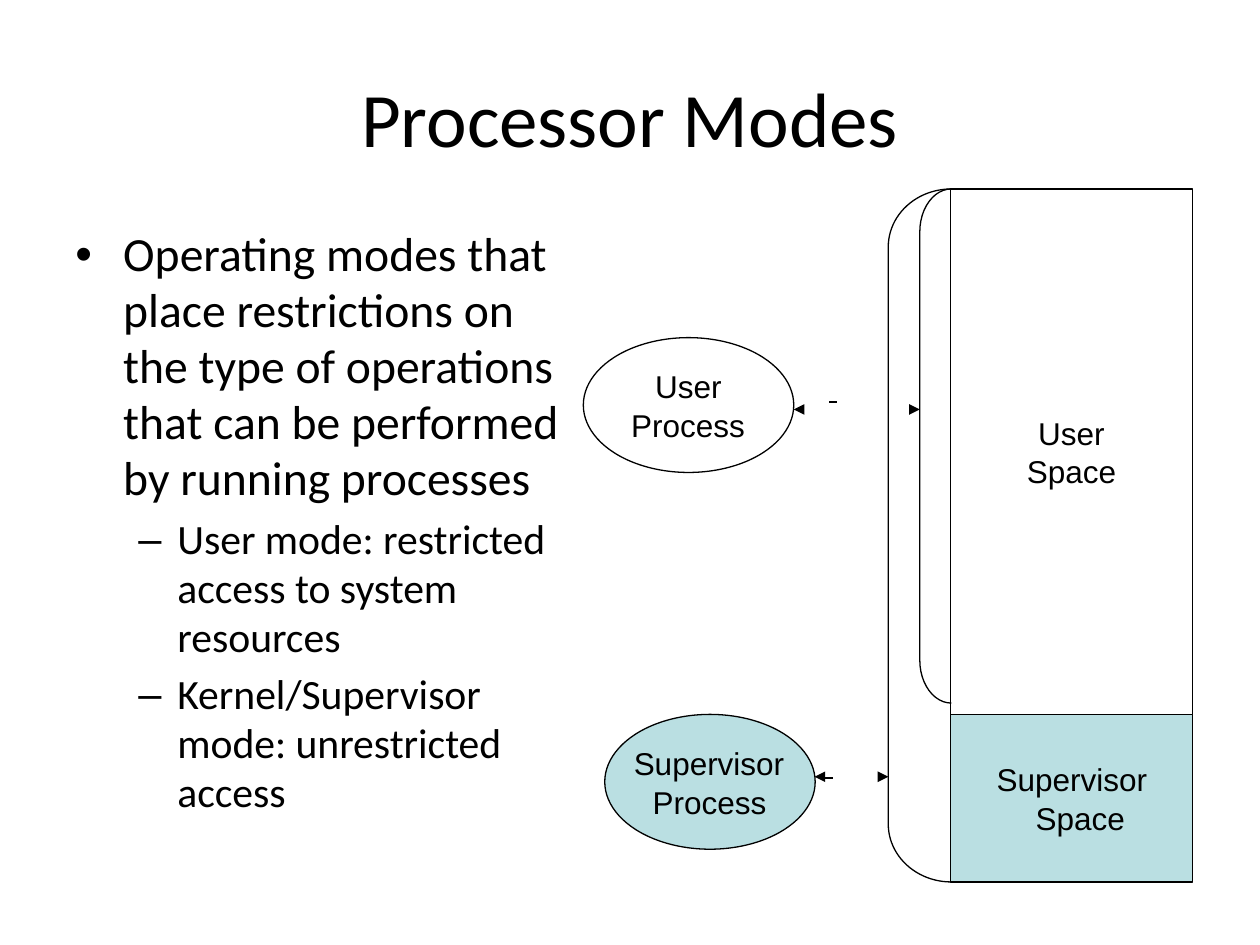
from dataclasses import dataclass

from lxml import etree
from pptx import Presentation
from pptx import util as u
from pptx.dml.color import RGBColor
from pptx.enum import shapes, text
from pptx.oxml import ns

BLACK = RGBColor(0x00, 0x00, 0x00)
TEAL = RGBColor(0xBA, 0xDF, 0xE2)

# The slide is a grid of 100 columns by 75 rows
deck = Presentation()
deck.slide_width, deck.slide_height = u.Inches(10), u.Inches(7.5)
COLUMN = deck.slide_width / 100
ROW = deck.slide_height / 75
page = deck.slides.add_slide(deck.slide_layouts[6])

BRACKET = shapes.MSO_SHAPE.LEFT_BRACKET
OVAL = shapes.MSO_SHAPE.OVAL
RECTANGLE = shapes.MSO_SHAPE.RECTANGLE


@dataclass
class Area:
    column: float
    row: float
    columns: float
    rows: float

    def lengths(self) -> tuple[int, ...]:
        return (round(self.column * COLUMN), round(self.row * ROW),
                round(self.columns * COLUMN), round(self.rows * ROW))


@dataclass
class Outline:
    kind: shapes.MSO_SHAPE
    area: Area
    fill: RGBColor | None = None
    corner: float | None = None


@dataclass
class Label:
    words: str
    area: Area
    margin: float  # columns, for the second line
    indent: float  # columns, first line relative to margin


@dataclass
class Bullet:
    words: str
    sign: str
    size: float
    margin: float
    indent: float
    before: float


@dataclass
class Link:
    row: float
    left: float
    right: float
    dash_start: float
    dash_row: float


def set_indent(para, margin: float, indent: float) -> None:
    props = para._p.get_or_add_pPr()
    props.set("marL", str(round(margin * COLUMN)))
    props.set("indent", str(round(indent * COLUMN)))


def add_span(para, words: str, font: str, size: float) -> None:
    span = para.add_run()
    span.text = words
    span.font.name = font
    span.font.size = u.Pt(size)
    span.font.color.rgb = BLACK


def add_box(area: Area):
    frame = page.shapes.add_textbox(*area.lengths()).text_frame
    frame.word_wrap = True
    return frame


def draw_outline(outline: Outline) -> None:
    shape = page.shapes.add_shape(outline.kind, *outline.area.lengths())
    shape.shadow.inherit = False
    shape.line.color.rgb = BLACK
    shape.line.width = u.Pt(0.75)
    if outline.fill is None:
        shape.fill.background()
    else:
        shape.fill.solid()
        shape.fill.fore_color.rgb = outline.fill
    if outline.corner is not None:
        shape.adjustments[0] = outline.corner


def draw_label(label: Label) -> None:
    frame = add_box(label.area)
    frame.margin_left = frame.margin_right = 0
    frame.margin_top = frame.margin_bottom = 0
    para = frame.paragraphs[0]
    para.line_spacing = u.Pt(22)
    set_indent(para, label.margin, label.indent)
    add_span(para, label.words, "Arial", 18)


def draw_bullets(area: Area, bullets: list[Bullet]) -> None:
    frame = add_box(area)
    for number, bullet in enumerate(bullets):
        para = frame.add_paragraph() if number else frame.paragraphs[0]
        para.level = min(number, 1)
        para.line_spacing = 0.98
        para.space_before = u.Pt(bullet.before)
        set_indent(para, bullet.margin, bullet.indent)
        props = para._p.get_or_add_pPr()
        etree.SubElement(props, ns.qn("a:buFont"), typeface="Arial")
        etree.SubElement(props, ns.qn("a:buChar"), char=bullet.sign)
        add_span(para, bullet.words, "Calibri", bullet.size)


def draw_arrowhead(tip: float, row: float, length: float) -> None:
    """A negative length makes the head point right."""
    half = abs(length) / 2
    back = round((tip + length) * COLUMN)
    builder = page.shapes.build_freeform(back, round((row - half) * ROW))
    builder.add_line_segments([(round(tip * COLUMN), round(row * ROW)),
                               (back, round((row + half) * ROW))], close=True)
    head = builder.convert_to_shape()
    head.shadow.inherit = False
    head.fill.solid()
    head.fill.fore_color.rgb = BLACK
    head.line.fill.background()


def draw_link(link: Link) -> None:
    draw_arrowhead(link.left, link.row, 0.84)
    draw_arrowhead(link.right, link.row, -0.84)
    height = round(link.dash_row * ROW)
    dash = page.shapes.add_connector(
        shapes.MSO_CONNECTOR.STRAIGHT, round(link.dash_start * COLUMN), height,
        round((link.dash_start + 0.6) * COLUMN), height)
    dash.line.color.rgb = BLACK
    dash.line.width = u.Pt(1)
    etree.SubElement(dash._element.spPr, ns.qn("a:effectLst"))


# Title
title = add_box(Area(5, 3, 90, 12.5))
title.vertical_anchor = text.MSO_ANCHOR.MIDDLE
title.paragraphs[0].alignment = text.PP_ALIGN.CENTER
add_span(title.paragraphs[0], "Processor Modes", "Calibri", 44)

# Explanation
draw_bullets(Area(5, 17.5, 41.3, 49.9), [
    Bullet("Operating modes that place restrictions on the type of operations "
           "that can be performed by running processes", "•", 27.2, 3.8, -3.8, 2),
    Bullet("User mode: restricted access to system resources",
           "–", 23.8, 8.1, -3.1, 4.8),
    Bullet("Kernel/Supervisor mode: unrestricted access",
           "–", 23.8, 8.1, -3.1, 4.8),
])

# Memory spaces, their brackets, and the processes
for outline in (
    Outline(RECTANGLE, Area(75.45, 15, 19.2, 41.7)),
    Outline(RECTANGLE, Area(75.45, 56.7, 19.2, 13.3), TEAL),
    Outline(BRACKET, Area(73, 15, 2.5, 40.8), corner=1.36),
    Outline(BRACKET, Area(70.5, 15, 5, 55), corner=0.92),
    Outline(OVAL, Area(48, 56.7, 16.7, 10.7), TEAL),
    Outline(OVAL, Area(46.3, 26.8, 16.7, 10.7)),
):
    draw_outline(outline)

for label in (
    Label("User Space", Area(81.4, 32.8, 7.4, 6.1), 0.1, 0.9),
    Label("Supervisor Space", Area(78.9, 60.3, 12.4, 6.1), 3.3, -3.1),
    Label("Supervisor Process", Area(50.2, 59, 12.5, 6.1), 1.6, -1.5),
    Label("User Process", Area(50, 29.1, 9.6, 6.1), 0.1, 1.9),
):
    draw_label(label)

# Access links
draw_link(Link(32.5, 63, 73, 65.8, 31.9))
draw_link(Link(61.65, 64.65, 70.5, 65.5, 61.75))

deck.save("out.pptx")
